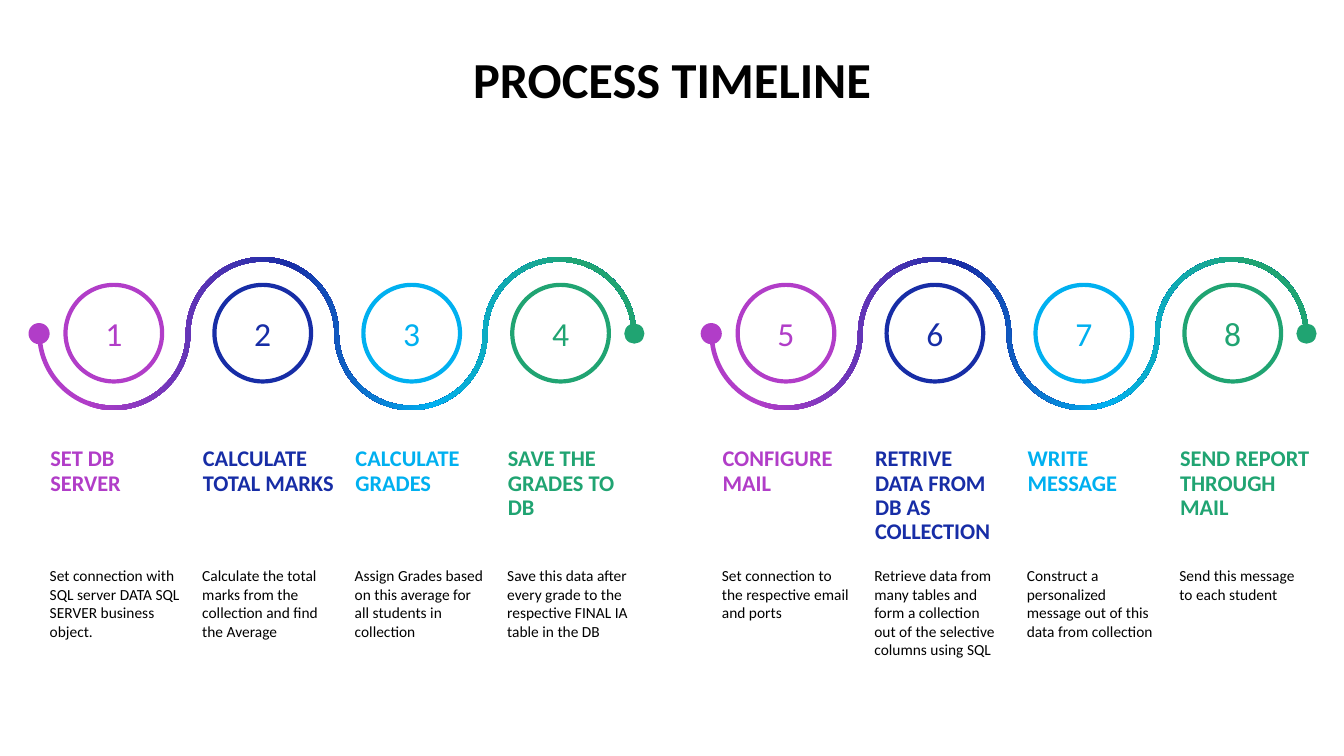
from dataclasses import dataclass

from lxml import etree
from pptx import Presentation
from pptx.dml.color import RGBColor
from pptx.enum import shapes, text
from pptx.oxml.ns import qn
from pptx.util import Inches, Pt

FONT = "Calibri"
COLORS = {"purple": "B13DC8", "navy": "172DA6", "sky": "00B0F0",
          "green": "20A472", "black": "000000", "white": "FFFFFF"}
STEP_COLORS = ["purple", "navy", "sky", "green"]
GRADIENT_STOPS = [8, 42, 66, 90]

GROUP_SHIFT = 480
FIRST_X, AXIS_Y = 81.3, 238.3
OUTER_R, INNER_R = 54.7, 51.4
ARC_PITCH = OUTER_R + INNER_R
CIRCLE_SIZE, CIRCLE_PITCH, CIRCLE_Y = 69, 106.35, 238
START_DOT, END_DOT, DOT_REACH = 15.1, 14.4, 53.4
TEXT_X, TEXT_PITCH, TEXT_WIDTH = 36, 108.9, 93
HEADING_Y, DETAIL_Y, DETAIL_HEIGHT = 316.2, 401, 93
BEZIER = 0.55

Point = tuple[float, float]


@dataclass
class Step:
    heading: str
    detail: str
    height: float
    width: float = TEXT_WIDTH


STEPS = [
    Step("SET DB SERVER",
         "Set connection with SQL server DATA SQL SERVER business object.", 54),
    Step("CALCULATE TOTAL MARKS",
         "Calculate the total marks from the collection and find the Average", 37.5, 95),
    Step("CALCULATE GRADES",
         "Assign Grades based on this average for all students in collection", 54),
    Step("SAVE THE GRADES TO DB",
         "Save this data after every grade to the respective FINAL IA table in the DB", 54),
    Step("CONFIGURE MAIL",
         "Set connection to the respective email and ports", 75),
    Step("RETRIVE DATA FROM DB AS COLLECTION",
         "Retrieve data from many tables and form a collection out of the selective "
         "columns using SQL", 75),
    Step("WRITE MESSAGE",
         "Construct a personalized message out of this data from collection", 65),
    Step("SEND REPORT THROUGH MAIL",
         "Send this message to each student", 24),
]


def rgb(name: str) -> RGBColor:
    return RGBColor.from_string(COLORS[name])


def format_text(tf, size: float, color: str, bold: bool = False) -> None:
    for p in tf.paragraphs:
        for r in p.runs:
            r.font.name = FONT
            r.font.size = Pt(size)
            r.font.bold = bold
            r.font.color.rgb = rgb(color)


def wave_edge(x: float, radii: list[float]) -> list[Point]:
    """Bezier points of one edge: a start, then three for each quarter arc."""
    half_arc = [(-1, BEZIER), (-BEZIER, 1), (0, 1), (BEZIER, 1), (1, BEZIER), (1, 0)]
    points = [(x - radii[0], AXIS_Y)]
    for i, radius in enumerate(radii):
        side = 1 if i % 2 == 0 else -1
        points += [(x + i * ARC_PITCH + radius * dx, AXIS_Y + side * radius * dy)
                   for dx, dy in half_arc]
    return points


def merge_curves(path, lines: list) -> None:
    """Turn each three line segments into one cubic Bezier segment."""
    for i in range(0, len(lines), 3):
        curve = etree.Element(qn("a:cubicBezTo"))
        path.replace(lines[i], curve)
        for line in lines[i:i + 3]:
            curve.append(line.find(qn("a:pt")))
        for line in lines[i + 1:i + 3]:
            path.remove(line)


def add_wave(s, x: float) -> None:
    lower = wave_edge(x, [OUTER_R, INNER_R] * 2)
    upper = wave_edge(x, [INNER_R, OUTER_R] * 2)
    outline = [(Pt(px), Pt(py)) for px, py in lower + upper[::-1]]
    builder = s.shapes.build_freeform(*outline[0])
    builder.add_line_segments(outline[1:], close=True)
    sp = builder.convert_to_shape()
    path = sp.element.spPr.find(".//" + qn("a:path"))
    lines = path.findall(qn("a:lnTo"))
    edge = len(lower) - 1
    merge_curves(path, lines[:edge])
    merge_curves(path, lines[edge + 1:2 * edge + 1])
    sp.shadow.inherit = False
    sp.line.fill.background()
    sp.fill.gradient()
    sp.fill.gradient_angle = 0
    stops = sp.element.spPr.find(".//" + qn("a:gsLst"))
    for stop in list(stops):
        stops.remove(stop)
    for position, color in zip(GRADIENT_STOPS, STEP_COLORS):
        stop = etree.SubElement(stops, qn("a:gs"), pos=str(position * 1000))
        etree.SubElement(stop, qn("a:srgbClr"), val=COLORS[color])


def add_circle(s, x: float, y: float, size: float, fill: str):
    sp = s.shapes.add_shape(shapes.MSO_SHAPE.OVAL, Pt(x - size / 2),
                            Pt(y - size / 2), Pt(size), Pt(size))
    sp.shadow.inherit = False
    sp.fill.solid()
    sp.fill.fore_color.rgb = rgb(fill)
    sp.line.fill.background()
    return sp


def add_number(s, x: float, number: int, color: str) -> None:
    sp = add_circle(s, x, CIRCLE_Y, CIRCLE_SIZE, "white")
    sp.line.color.rgb = rgb(color)
    sp.line.width = Pt(3)
    tf = sp.text_frame
    tf.text = str(number)
    tf.vertical_anchor = text.MSO_ANCHOR.MIDDLE
    tf.paragraphs[0].alignment = text.PP_ALIGN.CENTER
    format_text(tf, 24, color)


def add_text(s, x: float, y: float, width: float, height: float, words: str,
             size: float, color: str, bold: bool = False, spacing: float = 1.0) -> None:
    tf = s.shapes.add_textbox(Pt(x), Pt(y), Pt(width), Pt(height)).text_frame
    tf.word_wrap = True
    tf.margin_left = tf.margin_right = 0
    tf.text = words
    p = tf.paragraphs[0]
    p.line_spacing = spacing
    p.space_before = Pt(10)
    format_text(tf, size, color, bold)


def set_title(s, words: str) -> None:
    title = s.shapes.title
    title.left, title.top, title.width, title.height = Pt(18), Pt(36), Pt(924), Pt(49.7)
    tf = title.text_frame
    tf.text = words
    tf.auto_size = text.MSO_AUTO_SIZE.NONE
    tf.vertical_anchor = text.MSO_ANCHOR.TOP
    p = tf.paragraphs[0]
    p.alignment = text.PP_ALIGN.CENTER
    p.line_spacing = 0.9
    p.space_before = Pt(10)
    format_text(tf, 36, "black", bold=True)


def add_group(s, shift: float, first_number: int, steps: list[Step]) -> None:
    x = FIRST_X + shift
    add_wave(s, x)
    for i, (step, color) in enumerate(zip(steps, STEP_COLORS)):
        text_x = TEXT_X + shift + i * TEXT_PITCH
        add_number(s, x + i * CIRCLE_PITCH, first_number + i, color)
        add_text(s, text_x, HEADING_Y, step.width, step.height, step.heading,
                 16, color, bold=True, spacing=0.9)
        add_text(s, text_x - 0.5, DETAIL_Y, TEXT_WIDTH, DETAIL_HEIGHT, step.detail,
                 11, "black")
    add_circle(s, x - DOT_REACH, AXIS_Y, START_DOT, STEP_COLORS[0])
    add_circle(s, x + 3 * ARC_PITCH + DOT_REACH, AXIS_Y, END_DOT, STEP_COLORS[-1])


def main() -> None:
    prs = Presentation()
    prs.slide_width, prs.slide_height = Inches(13.33), Inches(7.5)
    s = prs.slides.add_slide(prs.slide_layouts[5])
    set_title(s, "PROCESS TIMELINE")
    size = len(STEP_COLORS)
    for group in range(len(STEPS) // size):
        start = group * size
        add_group(s, group * GROUP_SHIFT, start + 1, STEPS[start:start + size])
    prs.save("out.pptx")


if __name__ == "__main__":
    main()
